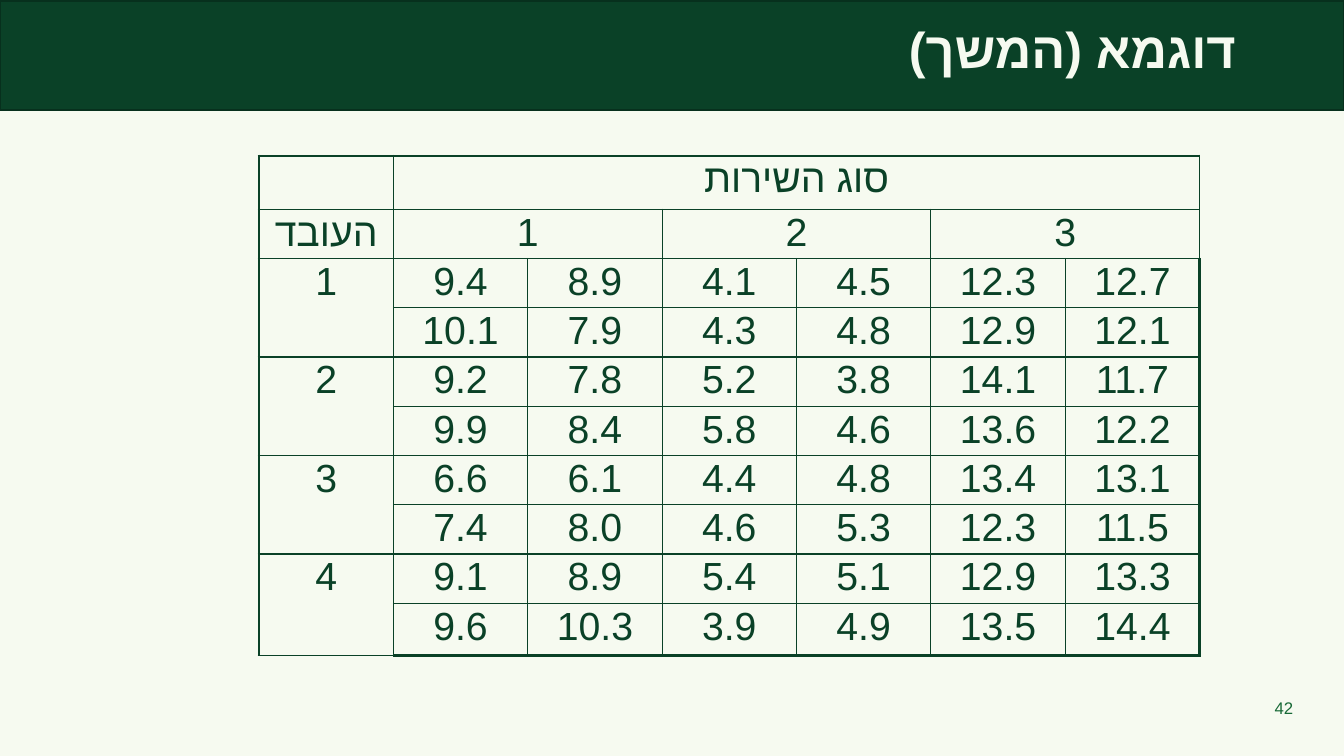
from pptx import Presentation
from pptx.dml.color import RGBColor
from pptx.enum.shapes import MSO_SHAPE
from pptx.enum.text import MSO_ANCHOR, PP_ALIGN
from pptx.oxml.ns import qn
from pptx.util import Pt
from lxml.etree import SubElement

CREAM = RGBColor(0xF6, 0xFA, 0xF0)
FOREST = RGBColor(0x0A, 0x41, 0x27)
DARK_FOREST = RGBColor(0x07, 0x30, 0x1D)
GREEN = RGBColor(0x17, 0x69, 0x36)

SERVICE_TYPES = ["1", "2", "3"]
WORKER_TIMES = {
    "1": [["9.4", "8.9", "4.1", "4.5", "12.3", "12.7"],
          ["10.1", "7.9", "4.3", "4.8", "12.9", "12.1"]],
    "2": [["9.2", "7.8", "5.2", "3.8", "14.1", "11.7"],
          ["9.9", "8.4", "5.8", "4.6", "13.6", "12.2"]],
    "3": [["6.6", "6.1", "4.4", "4.8", "13.4", "13.1"],
          ["7.4", "8.0", "4.6", "5.3", "12.3", "11.5"]],
    "4": [["9.1", "8.9", "5.4", "5.1", "12.9", "13.3"],
          ["9.6", "10.3", "3.9", "4.9", "13.5", "14.4"]],
}


class SlideBuilder:
    heading_font = "Arial"
    table_font = "Times New Roman"
    complex_font = "Arial"
    thin_border = 1
    thick_border = 2.25

    def __init__(self, slide):
        self.slide = slide
        slide.background.fill.solid()
        slide.background.fill.fore_color.rgb = CREAM

    def add_text_run(self, paragraph, text, size, font_name, color, alignment,
                     bold=False, rtl=False):
        paragraph.alignment = alignment
        if rtl:
            paragraph._p.get_or_add_pPr().set("rtl", "1")
        run = paragraph.add_run()
        run.text = text
        run.font.size = Pt(size)
        run.font.name = font_name
        run.font.bold = bold
        run.font.color.rgb = color
        SubElement(run._r.get_or_add_rPr(), qn("a:cs"), typeface=self.complex_font)

    def band(self, left, top, width, height):
        shape = self.slide.shapes.add_shape(
            MSO_SHAPE.RECTANGLE, Pt(left), Pt(top), Pt(width), Pt(height))
        shape.shadow.inherit = False
        shape.fill.solid()
        shape.fill.fore_color.rgb = FOREST
        shape.line.color.rgb = DARK_FOREST
        shape.line.width = Pt(1)

    def text(self, left, top, width, height, text, size, color,
             bold=False, rtl=False, line_spacing=None):
        box = self.slide.shapes.add_textbox(Pt(left), Pt(top), Pt(width), Pt(height))
        frame = box.text_frame
        frame.word_wrap = True
        frame.vertical_anchor = MSO_ANCHOR.MIDDLE
        paragraph = frame.paragraphs[0]
        paragraph.line_spacing = line_spacing
        self.add_text_run(paragraph, text, size, self.heading_font, color,
                          PP_ALIGN.RIGHT, bold, rtl)

    def border(self, cell, side, width):
        line = SubElement(cell._tc.get_or_add_tcPr(), qn(f"a:ln{side}"), w=str(Pt(width)))
        fill = SubElement(line, qn("a:solidFill"))
        SubElement(fill, qn("a:srgbClr"), val=str(FOREST))

    def table(self, left, top, column_widths, row_heights):
        table = self.slide.shapes.add_table(
            len(row_heights), len(column_widths), Pt(left), Pt(top),
            Pt(sum(column_widths)), Pt(sum(row_heights))).table
        table.first_row = False
        table.horz_banding = False
        for column, width in zip(table.columns, column_widths):
            column.width = Pt(width)
        last_row, last_column = len(row_heights) - 1, len(column_widths) - 1
        for row_index, height in enumerate(row_heights):
            table.rows[row_index].height = Pt(height)
            for column_index in range(len(column_widths)):
                cell = table.cell(row_index, column_index)
                outer_sides = {"L": column_index == 0, "R": column_index == last_column,
                               "T": row_index == 0, "B": row_index == last_row}
                for side, is_outer in outer_sides.items():
                    self.border(cell, side, self.thick_border if is_outer else self.thin_border)
                cell.fill.background()
                cell.margin_top = Pt(1)
                cell.margin_bottom = Pt(0)
        return table

    def cell(self, table, row, column, text, row_span=1, column_span=1):
        cell = table.cell(row, column)
        if row_span > 1 or column_span > 1:
            cell.merge(table.cell(row + row_span - 1, column + column_span - 1))
        self.add_text_run(cell.text_frame.paragraphs[0], text, 28, self.table_font, FOREST,
                          PP_ALIGN.CENTER, rtl=True)


def main():
    presentation = Presentation()
    presentation.slide_width = Pt(960)
    presentation.slide_height = Pt(540)
    builder = SlideBuilder(presentation.slides.add_slide(presentation.slide_layouts[6]))

    builder.band(0, 0.7, 960, 77.8)
    builder.text(309.6, 0.7, 580.3, 77.8, "דוגמא (המשך)", 36, CREAM,
                 bold=True, rtl=True, line_spacing=0.7)
    builder.text(893.5, 491, 37.4, 28.8, "42", 12, GREEN)

    table = builder.table(185, 111.5, [96] * 7, [38] + [35.2] * 8 + [37.5])
    builder.cell(table, 0, 1, "סוג השירות", column_span=6)
    builder.cell(table, 1, 0, "העובד")
    for index, service_type in enumerate(SERVICE_TYPES):
        builder.cell(table, 1, 1 + 2 * index, service_type, column_span=2)
    for index, (worker, time_rows) in enumerate(WORKER_TIMES.items()):
        first_row = 2 + 2 * index
        builder.cell(table, first_row, 0, worker, row_span=2)
        for row, times in enumerate(time_rows, first_row):
            for column, time in enumerate(times, 1):
                builder.cell(table, row, column, time)

    presentation.save("out.pptx")


if __name__ == "__main__":
    main()
